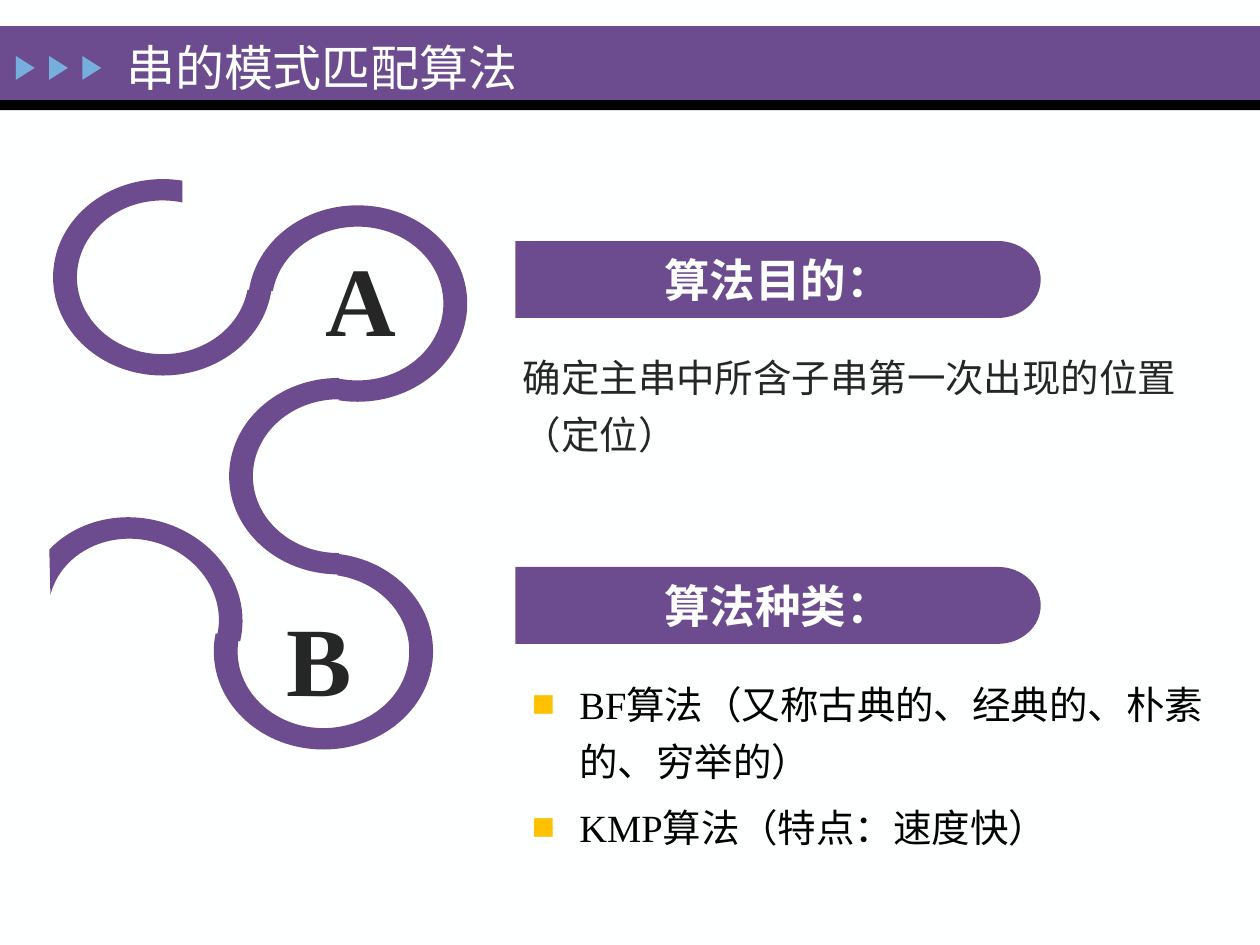
"""Build the slide on string pattern matching algorithms."""
import math
from dataclasses import dataclass

import lxml.etree
import pptx
import pptx.dml.color
import pptx.enum.shapes
import pptx.enum.text
import pptx.oxml.ns
import pptx.util

Cm = pptx.util.Cm
Pt = pptx.util.Pt
qn = pptx.oxml.ns.qn
MSO_SHAPE = pptx.enum.shapes.MSO_SHAPE
ANCHOR = pptx.enum.text.MSO_ANCHOR
ALIGN = pptx.enum.text.PP_ALIGN
FIT = pptx.enum.text.MSO_AUTO_SIZE

FONT = "Times New Roman"
COLORS = {
    "purple": "6C4C8F", "black": "000000", "blue": "76AEDD",
    "paper": "FEFFFF", "ink": "262626", "gold": "FFC000",
}
WIDE = ((2.21, 1.98), (1.73, 1.55))
TALL = ((1.98, 2.21), (1.55, 1.73))
BANNER_LEFT, BANNER_STRAIGHT, BANNER_HEIGHT, BANNER_CAP = 10.39, 9.73, 1.55, 0.86


@dataclass
class Ring:
    """Open ring: centre and radii in cm, angles of both edges, rotation."""
    center: tuple[float, float]
    radii: tuple
    outer: tuple[float, float]
    inner: tuple[float, float]
    turn: float = 0


@dataclass
class Banner:
    """Section heading with a rounded right end."""
    top: float
    text: str


@dataclass
class Note:
    """Plain text box, measured in cm."""
    box: tuple[float, float, float, float]
    text: str
    size: int
    bold: bool = False
    spacing: float = 1.0


RINGS = [
    Ring((7.21, 6.12), WIDE, (-172.6, 99.9), (-170.6, 102.7)),
    Ring((6.83, 9.6), WIDE, (90, 270), (90, 270)),
    Ring((6.52, 13.13), TALL, (-172.7, 100.3), (-170.7, 103.3), 90),
    Ring((3.28, 5.59), WIDE, (-172.6, 100.3), (-170.6, 103.3), 180),
    Ring((2.69, 12.42), TALL, (-242.5, -90), (-268.8, -90), 103.3),
]
BANNERS = [Banner(4.86, "算法目的："), Banner(11.43, "算法种类：")]
NOTES = [
    Note((6.24, 4.66, 1.63, 2.72), "A", 56, bold=True),
    Note((5.44, 11.91, 1.63, 2.72), "B", 56, bold=True),
    Note((10.21, 6.75, 14.45, 4.04), "确定主串中所含子串第一次出现的位置（定位）", 22, spacing=1.25),
]
ALGORITHMS = ["BF算法（又称古典的、经典的、朴素的、穷举的）", "KMP算法（特点：速度快）"]


def rgb(name: str) -> pptx.dml.color.RGBColor:
    """Look up a named colour."""
    return pptx.dml.color.RGBColor.from_string(COLORS[name])


def paint(sp, color: str) -> None:
    """Give a shape a flat fill without line or shadow."""
    sp.fill.solid()
    sp.fill.fore_color.rgb = rgb(color)
    sp.line.fill.background()
    sp.shadow.inherit = False


def add_run(p, text: str, size: int, color: str, bold: bool = False) -> None:
    """Add one formatted run to a paragraph."""
    r = p.add_run()
    r.text = text
    r.font.name = FONT
    r.font.size = Pt(size)
    r.font.bold = bold
    r.font.color.rgb = rgb(color)


def set_frame(tf, anchor, fit=FIT.NONE) -> None:
    """Set wrapping, insets, anchor and fitting of a text frame."""
    tf.word_wrap = True
    tf.auto_size = fit
    tf.vertical_anchor = anchor
    tf.margin_left = tf.margin_right = Cm(0.33)
    tf.margin_top = tf.margin_bottom = Cm(0.15)


def arc(center: tuple, radii: tuple, span: tuple) -> list[list[tuple]]:
    """Return the start point, then one Bezier triple per quadrant."""
    (cx, cy), (rx, ry) = center, radii
    low, high = sorted(span)
    stops = [low, *(a for a in range(-270, 361, 90) if low < a < high), high]
    if span[0] > span[1]:
        stops.reverse()

    def at(angle: float, pull: float = 0) -> tuple[float, float]:
        """Return a point on the ellipse, pulled along its tangent."""
        c, s = math.cos(math.radians(angle)), math.sin(math.radians(angle))
        return cx + rx * (c - pull * s), cy + ry * (s + pull * c)

    pieces = [[at(stops[0])]]
    for a, b in zip(stops, stops[1:]):
        pull = 4 / 3 * math.tan(math.radians(b - a) / 4)
        pieces.append([at(a, pull), at(b, -pull), at(b)])
    return pieces


def add_outline(s, pieces: list[list[tuple]]):
    """Draw a closed purple outline of lines (one point) and curves (three)."""
    emu = [(Cm(x), Cm(y)) for piece in pieces for x, y in piece]
    builder = s.shapes.build_freeform(*emu[0])
    builder.add_line_segments(emu[1:], close=True)
    sp = builder.convert_to_shape()
    lines = iter(list(sp._element.iter(qn("a:lnTo"))))
    for piece in pieces[1:]:
        steps = [next(lines) for _ in piece]
        if len(steps) == 3:
            steps[0].addprevious(curve := lxml.etree.Element(qn("a:cubicBezTo")))
            for step in steps:
                curve.append(step[0])
                step.getparent().remove(step)
    paint(sp, "purple")
    return sp


def add_ring(s, ring: Ring) -> None:
    """Draw one open ring, turned about the centre of its ellipse."""
    outside = arc(ring.center, ring.radii[0], ring.outer)
    inside = arc(ring.center, ring.radii[1], ring.inner[::-1])
    sp = add_outline(s, outside + inside)
    cx, cy = map(Cm, ring.center)
    dx, dy = sp.left + sp.width / 2 - cx, sp.top + sp.height / 2 - cy
    c, n = math.cos(math.radians(ring.turn)), math.sin(math.radians(ring.turn))
    sp.left = round(cx + dx * c - dy * n - sp.width / 2)
    sp.top = round(cy + dx * n + dy * c - sp.height / 2)
    sp.rotation = ring.turn


def add_banner(s, banner: Banner) -> None:
    """Draw a section heading."""
    half = BANNER_HEIGHT / 2
    center = (BANNER_LEFT + BANNER_STRAIGHT, banner.top + half)
    cap = arc(center, (BANNER_CAP, half), (-90, 90))
    corners = [[(BANNER_LEFT, banner.top)], [(BANNER_LEFT, banner.top + BANNER_HEIGHT)]]
    sp = add_outline(s, corners[:1] + cap + corners[1:])
    set_frame(sp.text_frame, ANCHOR.MIDDLE)
    p = sp.text_frame.paragraphs[0]
    p.alignment = ALIGN.CENTER
    add_run(p, banner.text, 26, "paper", True)


def add_note(s, note: Note) -> None:
    """Add a text box."""
    tf = s.shapes.add_textbox(*map(Cm, note.box)).text_frame
    set_frame(tf, ANCHOR.TOP, FIT.SHAPE_TO_FIT_TEXT)
    p = tf.paragraphs[0]
    p.line_spacing = note.spacing
    add_run(p, note.text, note.size, "ink", note.bold)


def add_bullet(p) -> None:
    """Give a paragraph a hanging gold square."""
    pPr = p._p.get_or_add_pPr()
    pPr.set("marL", str(Cm(0.96)))
    pPr.set("indent", str(-Cm(0.96)))
    color = lxml.etree.SubElement(pPr, qn("a:buClr"))
    lxml.etree.SubElement(color, qn("a:srgbClr"), val=COLORS["gold"])
    lxml.etree.SubElement(pPr, qn("a:buFont"), typeface=FONT)
    lxml.etree.SubElement(pPr, qn("a:buChar"), char="■")


def add_header(s) -> None:
    """Draw the title band with its arrows and fill in the title."""
    for box, color in [((0, 0.53, 25.4, 1.5), "purple"), ((0, 2.02, 25.4, 0.2), "black")]:
        paint(s.shapes.add_shape(MSO_SHAPE.RECTANGLE, *map(Cm, box)), color)
    arrows = s.shapes.add_group_shape()
    for i in range(3):
        box = (0.27 + 0.67 * i, 1.18, 0.48, 0.38)
        sp = arrows.shapes.add_shape(MSO_SHAPE.ISOSCELES_TRIANGLE, *map(Cm, box))
        sp.rotation = 90
        paint(sp, "blue")
    title = s.shapes.title
    title.left, title.top, title.width, title.height = map(Cm, (2.29, -0.08, 13.31, 2.84))
    title.text_frame.auto_size = FIT.NONE
    title.text_frame.vertical_anchor = ANCHOR.MIDDLE
    p = title.text_frame.paragraphs[0]
    p.alignment = ALIGN.LEFT
    add_run(p, "串的模式匹配算法", 28, "paper")
    s.shapes._spTree.append(title._element)


def add_list(s) -> None:
    """Fill the body placeholder with the algorithms."""
    body = s.placeholders[1]
    body.left, body.top, body.width, body.height = map(Cm, (10.39, 13.34, 14.27, 3.94))
    set_frame(body.text_frame, ANCHOR.TOP)
    for i, text in enumerate(ALGORITHMS):
        p = body.text_frame.add_paragraph() if i else body.text_frame.paragraphs[0]
        add_bullet(p)
        p.line_spacing = 1.25
        p.space_before = Pt(4.4 if i else 0)
        add_run(p, text, 22, "black")
    s.shapes._spTree.append(body._element)


def main() -> None:
    """Build and save the slide."""
    prs = pptx.Presentation()
    prs.slide_width, prs.slide_height = Cm(25.4), Cm(19.05)
    s = prs.slides.add_slide(prs.slide_layouts[1])
    s.background.fill.solid()
    s.background.fill.fore_color.rgb = rgb("paper")
    add_header(s)
    for draw, items in [(add_ring, RINGS), (add_banner, BANNERS), (add_note, NOTES)]:
        for item in items:
            draw(s, item)
    add_list(s)
    prs.save("out.pptx")


if __name__ == "__main__":
    main()
